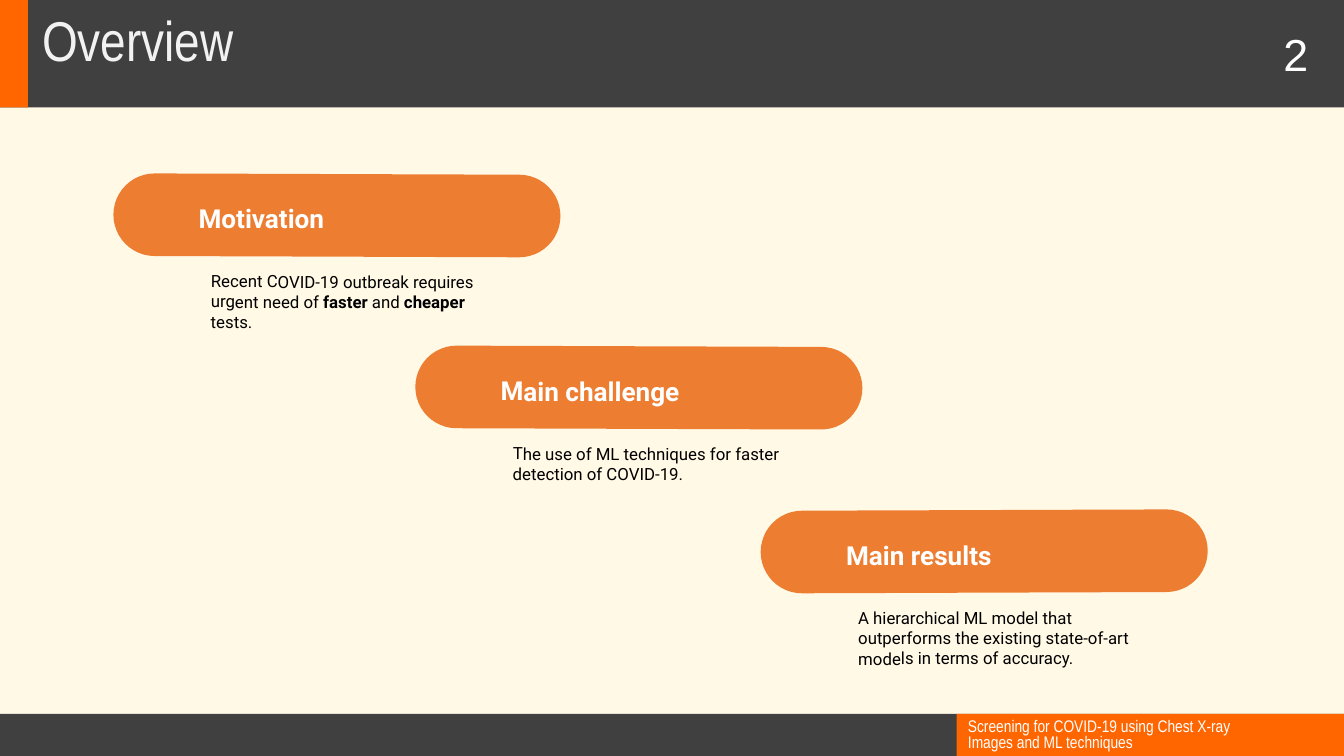
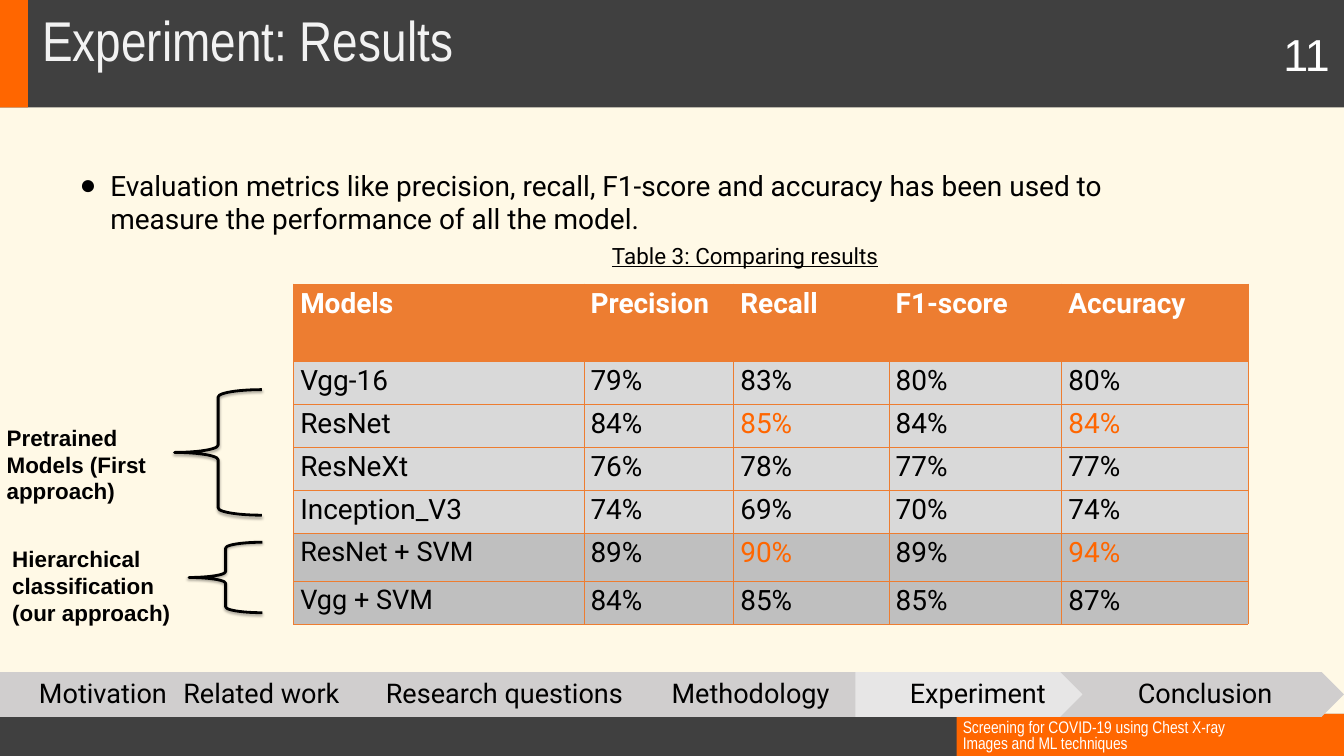
from lxml.etree import SubElement
from pptx import Presentation
from pptx.dml.color import RGBColor
from pptx.enum.shapes import MSO_SHAPE as SHAPE
from pptx.enum.text import MSO_ANCHOR as ANCHOR, MSO_AUTO_SIZE as SIZING, PP_ALIGN as ALIGN
from pptx.oxml.ns import qn
from pptx.util import Pt

WIDE, HIGH = 1440, 810
HUE = {
    "cream": "FFF9E6", "dark": "404040", "accent": "FF6600", "orange": "ED7D31",
    "white": "FFFFFF", "pale": "F2F2F2", "black": "000000",
    "step": "D0CECE", "now": "E7E6E6", "light": "D9D9D9", "mid": "BFBFBF",
}
FOOTER = "Screening for COVID-19 using Chest X-ray Images and ML techniques"

# Left, top, width, height and colour of the bands on every slide
BANDS = [
    (0, 765, WIDE, 45, "dark"),
    (1025, 765, 415, 45, "accent"),
    (0, 0, WIDE, 115, "dark"),
    (0, 0, 30, 115, "accent"),
]

# Left, top, tilt, heading and note; *stars* mark bold words
TOPICS = [
    (121.5, 186.5, 0.2, "Motivation",
     "Recent COVID-19 outbreak requires urgent need of *faster* and *cheaper* tests."),
    (445, 371, 0.2, "Main challenge",
     "The use of ML techniques for faster detection of COVID-19."),
    (815, 546.5, -0.2, "Main results",
     "A hierarchical ML model that outperforms the existing state-of-art models "
     "in terms of accuracy."),
]

# Left, width, label and alignment of the steps after the first
STEPS = [
    (187, 256, "Related work", ALIGN.LEFT),
    (404, 280, "Research questions", ALIGN.LEFT),
    (673, 256, "Methodology", ALIGN.CENTER),
    (916.5, 256, "Experiment", ALIGN.CENTER),
    (1160, 256, "Conclusion", ALIGN.CENTER),
]

METRICS = (
    "Evaluation metrics like precision, recall, F1-score and accuracy has been used to "
    "measure the performance of all the model."
)
CAPTION = "Table 3: Comparing results"
RESULTS = [
    ["Models", "Precision", "Recall", "F1-score", "Accuracy"],
    ["Vgg-16", "79%", "83%", "80%", "80%"],
    ["ResNet", "84%", "85%", "84%", "84%"],
    ["ResNeXt", "76%", "78%", "77%", "77%"],
    ["Inception_V3", "74%", "69%", "70%", "74%"],
    ["ResNet + SVM", "89%", "90%", "89%", "94%"],
    ["Vgg + SVM", "84%", "85%", "85%", "87%"],
]
COLS = [311, 160.5, 166.5, 185, 200]
ROWS = [83.5, 46, 46, 46, 46, 51, 46]
BEST = {(2, 2), (2, 4), (5, 2), (5, 4)}
HYBRID = 5  # first row of the hierarchical models


def rgb(name):
    return RGBColor.from_string(HUE[name])


def style(par, size, font, color, bold=False):
    for run in par.runs:
        run.font.size = Pt(size)
        run.font.name = font
        run.font.color.rgb = rgb(color)
        run.font.bold = bold


def pad(frame, left, top, right, low):
    frame.margin_left, frame.margin_top = Pt(left), Pt(top)
    frame.margin_right, frame.margin_bottom = Pt(right), Pt(low)


def place(shape, left, top, width, height):
    shape.left, shape.top = Pt(left), Pt(top)
    shape.width, shape.height = Pt(width), Pt(height)


def block(shapes, kind, left, top, width, height, color):
    shape = shapes.add_shape(kind, Pt(left), Pt(top), Pt(width), Pt(height))
    shape.shadow.inherit = False
    shape.fill.solid()
    shape.fill.fore_color.rgb = rgb(color)
    shape.line.fill.background()
    return shape


def label(shapes, left, top, width, height, text, size, font, color,
          bold=False, lead=None, wrap=True):
    box = shapes.add_textbox(Pt(left), Pt(top), Pt(width), Pt(height))
    box.text_frame.word_wrap = wrap
    box.text_frame.text = text
    for par in box.text_frame.paragraphs:
        par.line_spacing = lead
        style(par, size, font, color, bold)
    return box


def dress(prs, slide):
    """Give the master its background and bands."""
    master = prs.slide_master
    master.background.fill.solid()
    master.background.fill.fore_color.rgb = rgb("cream")
    for i, band in enumerate(BANDS):
        item = block(slide.shapes, SHAPE.RECTANGLE, *band).element
        item.nvSpPr.cNvPr.set("id", str(20 + i))
        master.shapes._spTree.insert(2 + i, item)


def head(slide, text):
    title = slide.shapes.title
    place(title, 38, 10, 1390, 60.5)
    frame = title.text_frame
    frame.text = text
    frame.auto_size = SIZING.NONE
    frame.vertical_anchor = ANCHOR.TOP
    par = frame.paragraphs[0]
    par.alignment, par.line_spacing = ALIGN.LEFT, 0.9
    style(par, 60, "Arial Narrow", "pale")


def foot(slide, left, top, width, page, span):
    label(slide.shapes, left, top, width, 42.5, FOOTER, 18, "Arial Narrow", "white", lead=0.8)
    label(slide.shapes, 1368, 25, span, 65.5, page, 48, "Arial", "white", wrap=False)


def topic(slide, left, top, tilt, name, note):
    shapes = slide.shapes.add_group_shape().shapes
    pill = block(shapes, SHAPE.ROUNDED_RECTANGLE, left, top, 479, 88.5, "orange")
    pill.adjustments[0] = 0.5
    title = label(shapes, left + 77, top + 14.5, 367, 62, name, 28, "Roboto", "white", True, 1.15)
    title.text_frame.vertical_anchor = ANCHOR.MIDDLE
    body = label(shapes, left + 90, top + 90, 347, 80, "", 18, "Roboto", "black")
    par = body.text_frame.paragraphs[0]
    for i, part in enumerate(note.split("*")):
        par.add_run().text = part
        style(par, 18, "Roboto", "black")
    for i, run in enumerate(par.runs):
        run.font.bold = i % 2 == 1
    for box in (title, body):
        pad(box.text_frame, 14.4, 14.4, 14.4, 14.4)
    for shape in (pill, title, body):
        shape.rotation = tilt


def mark(par, left, hang, char=None):
    """Set the indent of a paragraph and its bullet, if any."""
    props = par._p.get_or_add_pPr()
    props.set("marL", str(Pt(left)))
    props.set("indent", str(Pt(hang)))
    if char:
        tint = SubElement(props, qn("a:buClr"))
        SubElement(tint, qn("a:srgbClr"), val=HUE["black"])
        SubElement(props, qn("a:buChar"), char=char)
    else:
        SubElement(props, qn("a:buNone"))


def intro(slide):
    body = slide.placeholders[1]
    place(body, 75, 173, 1155.5, 83)
    frame = body.text_frame
    frame.text = METRICS + "\n" + CAPTION
    frame.auto_size = SIZING.NONE
    pad(frame, 7.2, 7.2, 7.2, 7.2)
    point, title = frame.paragraphs
    for par, size, gap in ((point, 30, 0), (title, 24, 7)):
        par.space_before = Pt(gap)
        style(par, size, "Roboto", "black")
    title.runs[0].font.underline = True
    mark(point, 36, -33, "●")
    mark(title, 573.5, 0)


def edge(cell):
    props = cell._tc.get_or_add_tcPr()
    for side in ("lnL", "lnR", "lnT", "lnB"):
        line = SubElement(props, qn("a:" + side), w=str(Pt(0.5)))
        SubElement(SubElement(line, qn("a:solidFill")), qn("a:srgbClr"), val=HUE["orange"])


def scores(slide):
    table = slide.shapes.add_table(
        len(ROWS), len(COLS), Pt(314.5), Pt(304), Pt(sum(COLS)), Pt(sum(ROWS))).table
    for col, width in zip(table.columns, COLS):
        col.width = Pt(width)
    for r, (row, height) in enumerate(zip(RESULTS, ROWS)):
        table.rows[r].height = Pt(height)
        fill = "orange" if r == 0 else "light" if r < HYBRID else "mid"
        for c, text in enumerate(row):
            cell = table.cell(r, c)
            edge(cell)
            cell.fill.solid()
            cell.fill.fore_color.rgb = rgb(fill)
            cell.text_frame.text = text
            color = "white" if r == 0 else "accent" if (r, c) in BEST else "black"
            size = 29 if c == 0 and r >= HYBRID else 30
            style(cell.text_frame.paragraphs[0], size, "Roboto", color, r == 0)


def brace(slide, left, top, width, height):
    shape = slide.shapes.add_shape(SHAPE.LEFT_BRACE, Pt(left), Pt(top), Pt(width), Pt(height))
    shape.fill.background()
    shape.line.color.rgb = rgb("black")
    shape.line.width = Pt(3)
    # Soft shadow below the line
    list_ = SubElement(shape.element.spPr, qn("a:effectLst"))
    blur = SubElement(list_, qn("a:outerShdw"), blurRad=str(Pt(3.1)), dist=str(Pt(1.8)),
                      dir="5400000", rotWithShape="0")
    tint = SubElement(blur, qn("a:srgbClr"), val=HUE["black"])
    SubElement(tint, qn("a:alpha"), val="35000")


def step(shapes, left, width, text, align, color, inset=9.4):
    box = block(shapes, SHAPE.RECTANGLE, left, 720, width, 48, color)
    frame = box.text_frame
    frame.text = text
    frame.word_wrap = True
    frame.vertical_anchor = ANCHOR.MIDDLE
    pad(frame, inset, 5.8, 2.9, 5.8)
    par = frame.paragraphs[0]
    par.alignment, par.line_spacing = align, 0.9
    style(par, 29, "Roboto", "black")


def trail(slide, now):
    shapes = slide.shapes.add_group_shape().shapes
    block(shapes, SHAPE.PENTAGON, 0, 720, 224, 48, "step")
    step(shapes, 0, 211.5, "Motivation", ALIGN.CENTER, "step", 12.2)
    for left, width, text, align in STEPS:
        block(shapes, SHAPE.CHEVRON, left - 24, 720, 304, 48, "step")
        step(shapes, left, width, text, align, "now" if text == now else "step")


def main():
    prs = Presentation()
    prs.slide_width, prs.slide_height = Pt(WIDE), Pt(HIGH)

    # Overview
    slide = prs.slides.add_slide(prs.slide_layouts[5])
    dress(prs, slide)
    head(slide, "Overview")
    for item in TOPICS:
        topic(slide, *item)
    foot(slide, 1030, 767.5, 347, "2", 42)

    # Results
    slide = prs.slides.add_slide(prs.slide_layouts[1])
    head(slide, "Experiment: Results")
    intro(slide)
    trail(slide, "Experiment")
    scores(slide)
    brace(slide, 187, 417.5, 93.5, 134.5)
    label(slide.shapes, 0, 450.5, 181.5, 94.5, "Pretrained Models (First approach)",
          24, "Arial", "black", True)
    brace(slide, 202.5, 581, 78.5, 75.5)
    label(slide.shapes, 6, 581, 204.5, 124, "Hierarchical classification\n(our approach)",
          24, "Arial", "black", True)
    foot(slide, 1024.5, 768, 324, "11", 65)

    prs.save("out.pptx")


if __name__ == "__main__":
    main()
